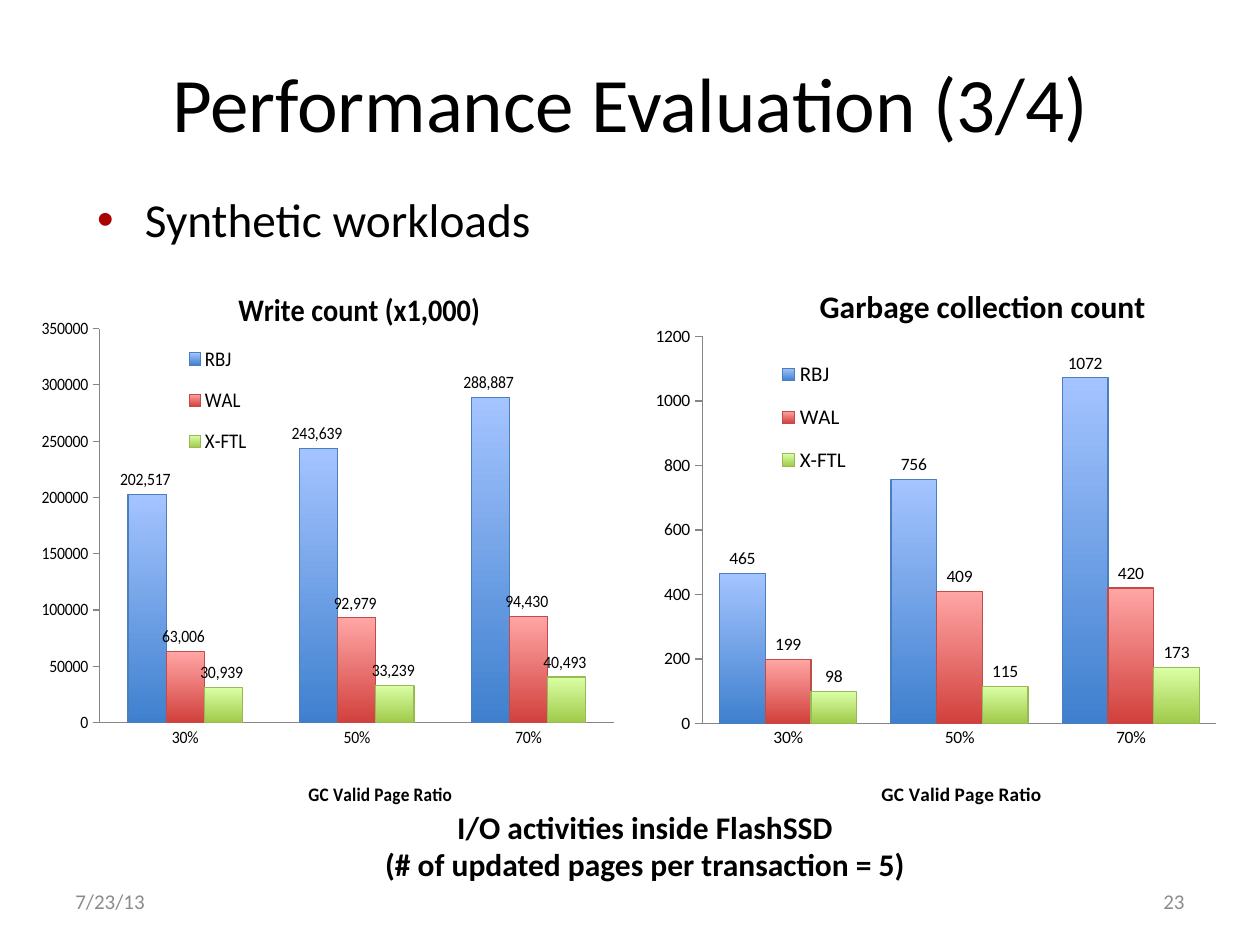
from lxml import etree
from pptx import Presentation
from pptx.chart import data
from pptx.dml import color
from pptx.enum import chart as ch, text
from pptx.oxml import ns
from pptx.util import Inches, Pt

FONT = "Calibri"
BLACK, GREY, AXIS = "000000", "8C8C8C", "868686"
TITLE = "Performance Evaluation (3/4)"
BULLET = "Synthetic workloads"
CAPTION = ["I/O activities inside FlashSSD", "(# of updated pages per transaction = 5)"]
RATIOS = ["30%", "50%", "70%"]
AXIS_TITLE = "GC Valid Page Ratio"
SERIES_STYLES = {  # name: bottom colour, top colour, outline
    "RBJ": ("3F80CE", "A4C4FF", "4B7EBC"),
    "WAL": ("D1403C", "FFA6A5", "BF4C48"),
    "X-FTL": ("A0CA4A", "DAFFA5", "98B955"),
}
# Layout entries are fractions of the chart: x, y and, where set, width, height.
CHARTS = [
    dict(title="Write count (x1,000)", at=(0.33, 2.15, 4.55, 4.3), gap=150,
         values=[(202517, 243639, 288887), (63006, 92979, 94430), (30939, 33239, 40493)],
         label_format="#,##0_);[Red]\\(#,##0\\)", top=350000, step=50000,
         plot=(0, 0.107, 1, 0.731), title_at=(0.26, 0.02),
         axis_title_at=(0.4, 0.94), legend_at=(0.13, 0.11, 0.2, 0.26)),
    dict(title="Garbage collection count", at=(5.17, 2.13, 4.61, 4.32), gap=75,
         values=[(465, 756, 1072), (199, 409, 420), (98, 115, 173)],
         label_format="General", top=1200, step=200,
         plot=(0.088, 0.126, 0.885, 0.714), title_at=(0.28, 0.02),
         axis_title_at=(0.39, 0.94), legend_at=(0.18, 0.14, 0.2, 0.27)),
]


def rgb(value):
    return color.RGBColor.from_string(value)


def format_font(font, size, hue=BLACK, bold=False):
    font.name, font.size, font.bold = FONT, Pt(size), bold
    font.color.rgb = rgb(hue)


def write(frame, lines, size, hue=BLACK, bold=False, align=text.PP_ALIGN.LEFT,
          anchor=text.MSO_ANCHOR.TOP):
    frame.word_wrap = True
    frame.vertical_anchor = anchor
    for index, line in enumerate(lines):
        para = frame.paragraphs[0] if index == 0 else frame.add_paragraph()
        para.alignment = align
        span = para.add_run()
        span.text = line
        format_font(span.font, size, hue, bold)


def place(shape, left, top, width, height):
    shape.left, shape.top = Inches(left), Inches(top)
    shape.width, shape.height = Inches(width), Inches(height)


def add_text(page, at, lines, size, **style):
    box = page.shapes.add_textbox(*map(Inches, at))
    write(box.text_frame, lines, size, **style)


def set_bullet(para, symbol, hue, indent):
    props = para._p.get_or_add_pPr()
    props.set("marL", str(Inches(indent)))
    props.set("indent", str(-Inches(indent)))
    bullet_color = etree.SubElement(props, ns.qn("a:buClr"))
    etree.SubElement(bullet_color, ns.qn("a:srgbClr"), val=hue)
    etree.SubElement(props, ns.qn("a:buFont"), typeface="Arial")
    etree.SubElement(props, ns.qn("a:buChar"), char=symbol)


def set_layout(element, position, fractions, inner=False):
    """Give a chart part a manual layout, as child number `position`."""
    layout = element.find(ns.qn("c:layout"))
    if layout is None:
        layout = etree.Element(ns.qn("c:layout"))
        element.insert(position, layout)
    for child in list(layout):
        layout.remove(child)
    manual = etree.SubElement(layout, ns.qn("c:manualLayout"))
    if inner:
        etree.SubElement(manual, ns.qn("c:layoutTarget"), val="inner")
    for mode in ("xMode", "yMode"):
        etree.SubElement(manual, ns.qn("c:" + mode), val="edge")
    for name, value in zip("xywh", fractions):
        etree.SubElement(manual, ns.qn("c:" + name), val=str(value))


def set_chart_title(title, words, size, at):
    para = title.text_frame.paragraphs[0]
    span = para.add_run()
    span.text = words
    format_font(span.font, size, bold=True)
    set_layout(title._element, 1, at)


def style_series(series, bottom, top, outline, label_format):
    fill = series.format.fill
    fill.gradient()
    fill.gradient_angle = 90
    for stop, hue, position in zip(fill.gradient_stops, (bottom, top), (0, 1)):
        stop.color.rgb = rgb(hue)
        stop.position = position
    series.format.line.color.rgb = rgb(outline)
    series.format.line.width = Pt(0.75)
    labels = series.data_labels
    labels.show_value = True
    labels.position = ch.XL_LABEL_POSITION.OUTSIDE_END
    labels.number_format, labels.number_format_is_linked = label_format, False
    format_font(labels.font, 10)


def add_column_chart(page, item):
    numbers = data.CategoryChartData()
    numbers.categories = RATIOS
    for name, values in zip(SERIES_STYLES, item["values"]):
        numbers.add_series(name, values)
    chart = page.shapes.add_chart(ch.XL_CHART_TYPE.COLUMN_CLUSTERED,
                                  *map(Inches, item["at"]), numbers).chart
    format_font(chart.font, 10)
    chart.has_title = True
    set_chart_title(chart.chart_title, item["title"], 18, item["title_at"])

    chart.has_legend = True
    chart.legend.position = ch.XL_LEGEND_POSITION.RIGHT
    chart.legend.include_in_layout = False
    format_font(chart.legend.font, 12)
    set_layout(chart.legend._element, 1, item["legend_at"])

    plot = chart.plots[0]
    plot.gap_width, plot.overlap, plot.vary_by_categories = item["gap"], 0, False
    for series in plot.series:
        style_series(series, *SERIES_STYLES[series.name], item["label_format"])

    categories, scale = chart.category_axis, chart.value_axis
    categories.major_tick_mark = ch.XL_TICK_MARK.NONE
    set_chart_title(categories.axis_title, AXIS_TITLE, 11, item["axis_title_at"])
    scale.major_tick_mark = ch.XL_TICK_MARK.OUTSIDE
    scale.has_major_gridlines = False
    scale.minimum_scale, scale.maximum_scale = 0, item["top"]
    scale.major_unit = item["step"]
    for axis in (categories, scale):
        axis.format.line.color.rgb = rgb(AXIS)
        format_font(axis.tick_labels.font, 10)
    set_layout(chart._chartSpace.chart.plotArea, 0, item["plot"], inner=True)


def main():
    deck = Presentation()
    deck.slide_width, deck.slide_height = Inches(10), Inches(7.5)
    page = deck.slides.add_slide(deck.slide_layouts[1])
    center, right = text.PP_ALIGN.CENTER, text.PP_ALIGN.RIGHT
    middle = text.MSO_ANCHOR.MIDDLE

    title, body = page.placeholders
    place(title, 0.67, 0.3, 8.67, 1.02)
    write(title.text_frame, [TITLE], 44, align=center, anchor=middle)
    place(body, 0.67, 1.46, 8.67, 0.55)
    write(body.text_frame, [BULLET], 27)
    para = body.text_frame.paragraphs[0]
    para.space_before = Pt(20)
    set_bullet(para, "•", "AA0000", 0.38)

    add_text(page, (0.5, 6.95, 2.33, 0.4), ["7/23/13"], 12, hue=GREY, anchor=middle)
    add_text(page, (7.17, 6.95, 2.33, 0.4), ["23"], 12, hue=GREY, align=right, anchor=middle)
    for item in CHARTS:
        add_column_chart(page, item)
    add_text(page, (1.29, 6.36, 7.66, 0.71), CAPTION, 18, bold=True, align=center)
    deck.save("out.pptx")


if __name__ == "__main__":
    main()
